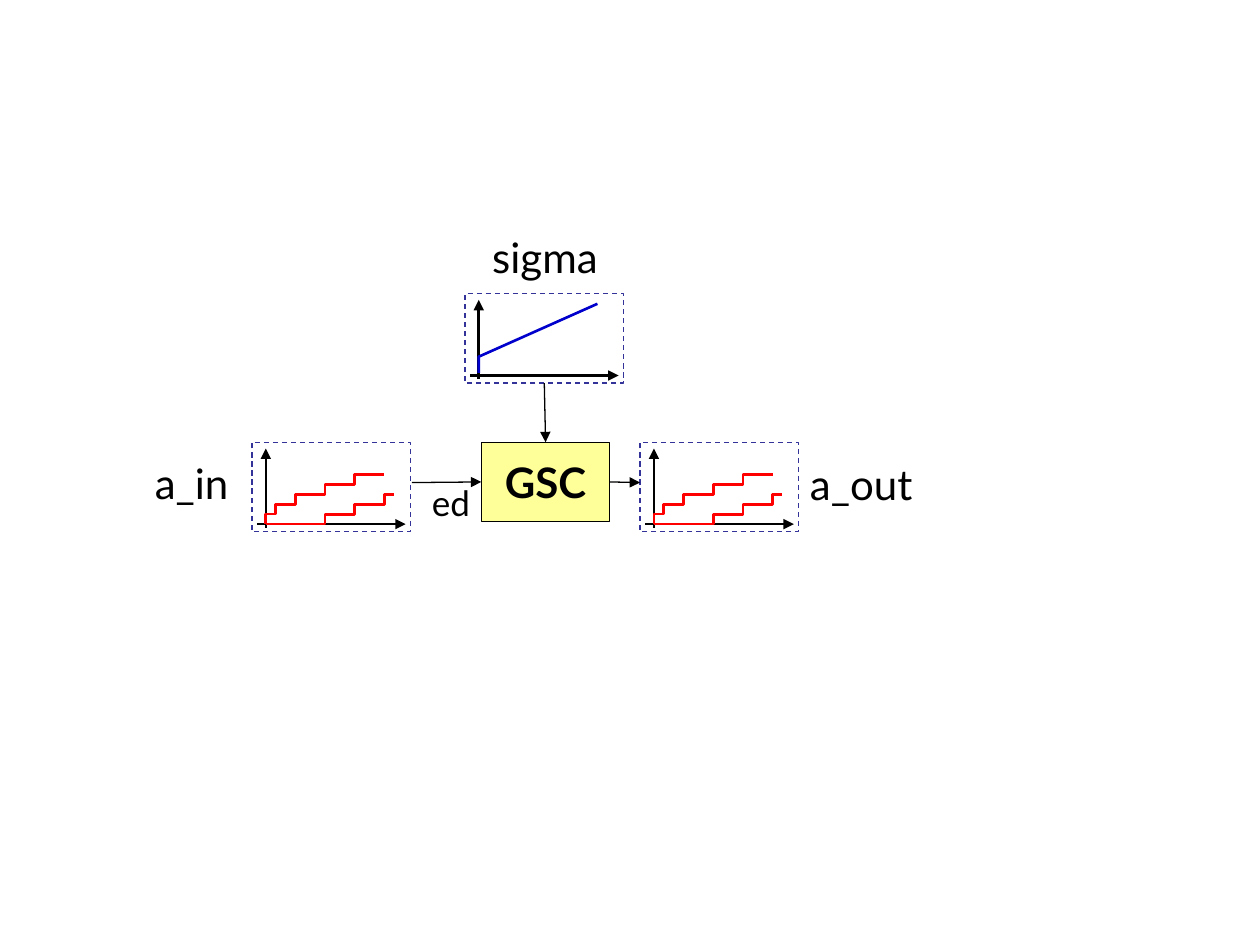
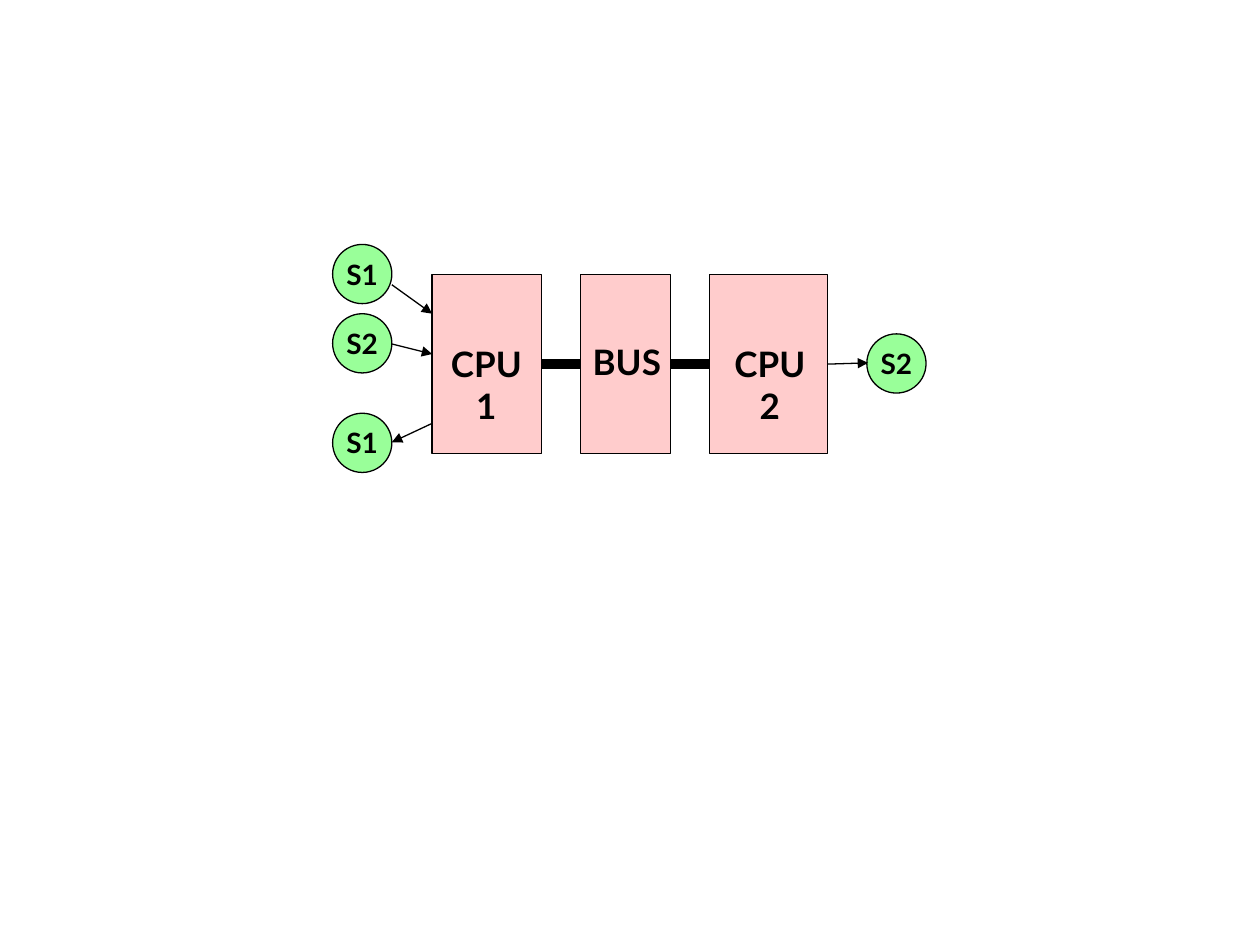
"""Builds two block diagrams: a greedy shaper with its curves, and two CPUs joined by a bus."""
from lxml import etree
from pptx import Presentation
from pptx.dml.color import RGBColor
from pptx.enum import dml, shapes, text
from pptx.oxml.ns import qn
from pptx.util import Inches, Pt

FONT = "Lato"
COLORS = {"ink": "000000", "paper": "FFFFFF", "frame": "333399", "stair": "FF0000",
          "ramp": "0000CC", "shaper": "FFFF99", "resource": "FFCCCC", "stream": "99FF99"}
THIN, CURVE, BUS_LINE = 0.75, 1.5, 6

PLOT_W, PLOT_H = 1.26, 0.71
ORIGIN_X, ORIGIN_Y = 0.11, 0.65
UNIT = 1.02 / 13

UPPER_STEPS = [(1, 1), (3, 2), (6, 3), (9, 4), (12, 5)]
LOWER_STEPS = [(6, 0), (9, 1), (12, 2), (13, 3)]
RAMP = [(0, 0.25), (0, 1.9), (12, 7.25)]

PLOTS = {"a_in": (2, 3.51), "a_out": (5.08, 3.51)}
SIGMA = (3.69, 2.33)
SHAPER = ("GSC", 3.82, 3.51, 1.02, 0.63)
CURVE_LABELS = [("a_in", 1.13, 3.58, 0.82, 0.5, 24), ("ed", 3.33, 3.77, 0.53, 0.44, 20),
                ("a_out", 6.33, 3.59, 1.06, 0.5, 24)]
SIGMA_LABEL = ("sigma", 3.75, 1.79, 1.15, 0.5, 24)

RESOURCE_TOP, RESOURCE_H = 2.18, 1.42
RESOURCES = [(3.43, 0.87), (4.61, 0.71), (5.63, 0.94)]
RESOURCE_LABELS = [("CPU\v1", 3.4, 2.67, 0.92), ("BUS", 4.6, 2.65, 0.75),
                   ("CPU\v2", 5.65, 2.67, 0.92)]
STREAM_SIZE = 0.47
STREAMS = [("S1", 2.64, 1.94), ("S2", 2.64, 2.49), ("S1", 2.64, 3.28), ("S2", 6.88, 2.65)]
STREAM_ARROWS = [((3.11, 2.26), (3.43, 2.49)), ((3.11, 2.73), (3.43, 2.81)),
                 ((3.43, 3.36), (3.11, 3.51))]


def rgb(name):
    return RGBColor.from_string(COLORS[name])


def set_line(sp, color, width):
    sp.line.color.rgb = rgb(color)
    sp.line.width = Pt(width)


def write(sp, words, size, bold=False, align=text.PP_ALIGN.CENTER, anchor=text.MSO_ANCHOR.MIDDLE):
    tf = sp.text_frame
    tf.word_wrap = False
    tf.vertical_anchor = anchor
    tf.text = words
    p = tf.paragraphs[0]
    p.alignment = align
    for r in p.runs:
        r.font.name, r.font.size, r.font.bold = FONT, Pt(size), bold
        r.font.color.rgb = rgb("ink")


def label(s, words, x, y, w, h, size, bold=False, align=text.PP_ALIGN.CENTER):
    sp = s.add_textbox(*map(Inches, (x, y, w, h)))
    write(sp, words, size, bold, align, text.MSO_ANCHOR.TOP)


def block(s, x, y, w, h, fill, line="ink", kind=shapes.MSO_SHAPE.RECTANGLE):
    sp = s.add_shape(kind, *map(Inches, (x, y, w, h)))
    sp.shadow.inherit = False
    sp.fill.solid()
    sp.fill.fore_color.rgb = rgb(fill)
    set_line(sp, line, THIN)
    return sp


def connect(s, start, end, width=THIN, arrow=True, source=None, target=None):
    c = s.add_connector(shapes.MSO_CONNECTOR.STRAIGHT, *map(Inches, (*start, *end)))
    set_line(c, "ink", width)
    if arrow:
        etree.SubElement(c.line._get_or_add_ln(), qn("a:tailEnd"), type="triangle")
    etree.SubElement(c._element.spPr, qn("a:effectLst"))
    if source:
        c.begin_connect(*source)
    if target:
        c.end_connect(*target)


def staircase(steps):
    points, level = [(0, 0)], 0
    for x, y in steps:
        points += [(points[-1][0], y), (x, y)]
    return [p for i, p in enumerate(points) if i == 0 or p != points[i - 1]]


def plot(s, x, y, curves, color):
    frame = block(s, x, y, PLOT_W, PLOT_H, "paper", "frame")
    frame.line.dash_style = dml.MSO_LINE.DASH
    ox, oy = x + ORIGIN_X, y + ORIGIN_Y
    connect(s, (x + 0.04, oy), (x + 1.22, oy), CURVE)
    connect(s, (ox, y + 0.68), (ox, y + 0.05), CURVE)
    for curve in curves:
        points = [(Inches(ox + UNIT * i), Inches(oy - UNIT * j)) for i, j in curve]
        fb = s.build_freeform(*points[0])
        fb.add_line_segments(points[1:], close=False)
        sp = fb.convert_to_shape()
        sp.shadow.inherit = False
        sp.fill.background()
        set_line(sp, color, CURVE)
    return frame


def shaper_slide(s):
    name, *box = SHAPER
    gsc = block(s, *box, "shaper")
    write(gsc, name, 24, True)
    stairs = [staircase(LOWER_STEPS), staircase(UPPER_STEPS)]
    for x, y in PLOTS.values():
        plot(s.add_group_shape().shapes, x, y, stairs, "stair")
    sigma = plot(s, *SIGMA, [RAMP], "ramp")
    for item in CURVE_LABELS:
        label(s, *item, align=text.PP_ALIGN.LEFT)
    label(s, *SIGMA_LABEL)
    connect(s, (3.27, 3.83), (3.82, 3.83), target=(gsc, 1))
    connect(s, (4.84, 3.83), (5.08, 3.83), source=(gsc, 3))
    connect(s, (4.32, 3.04), (4.33, 3.51), source=(sigma, 2), target=(gsc, 0))


def bus_slide(s):
    boxes = [block(s, x, RESOURCE_TOP, w, RESOURCE_H, "resource") for x, w in RESOURCES]
    for words, x, y, w in RESOURCE_LABELS:
        label(s, words, x, y, w, 0.44, 20, True)
    for left, right in zip(boxes, boxes[1:]):
        connect(s, (0, 0), (0, 0), BUS_LINE, False, (left, 3), (right, 1))
    for words, x, y in STREAMS:
        sp = block(s, x, y, STREAM_SIZE, STREAM_SIZE, "stream", kind=shapes.MSO_SHAPE.OVAL)
        write(sp, words, 16, True)
    for start, end in STREAM_ARROWS:
        connect(s, start, end)
    connect(s, (6.57, 2.88), (6.89, 2.88), source=(boxes[-1], 3))


def main():
    prs = Presentation()
    prs.slide_width, prs.slide_height = Inches(10), Inches(7.5)
    for build in (shaper_slide, bus_slide):
        build(prs.slides.add_slide(prs.slide_layouts[6]).shapes)
    prs.save("out.pptx")


if __name__ == "__main__":
    main()
